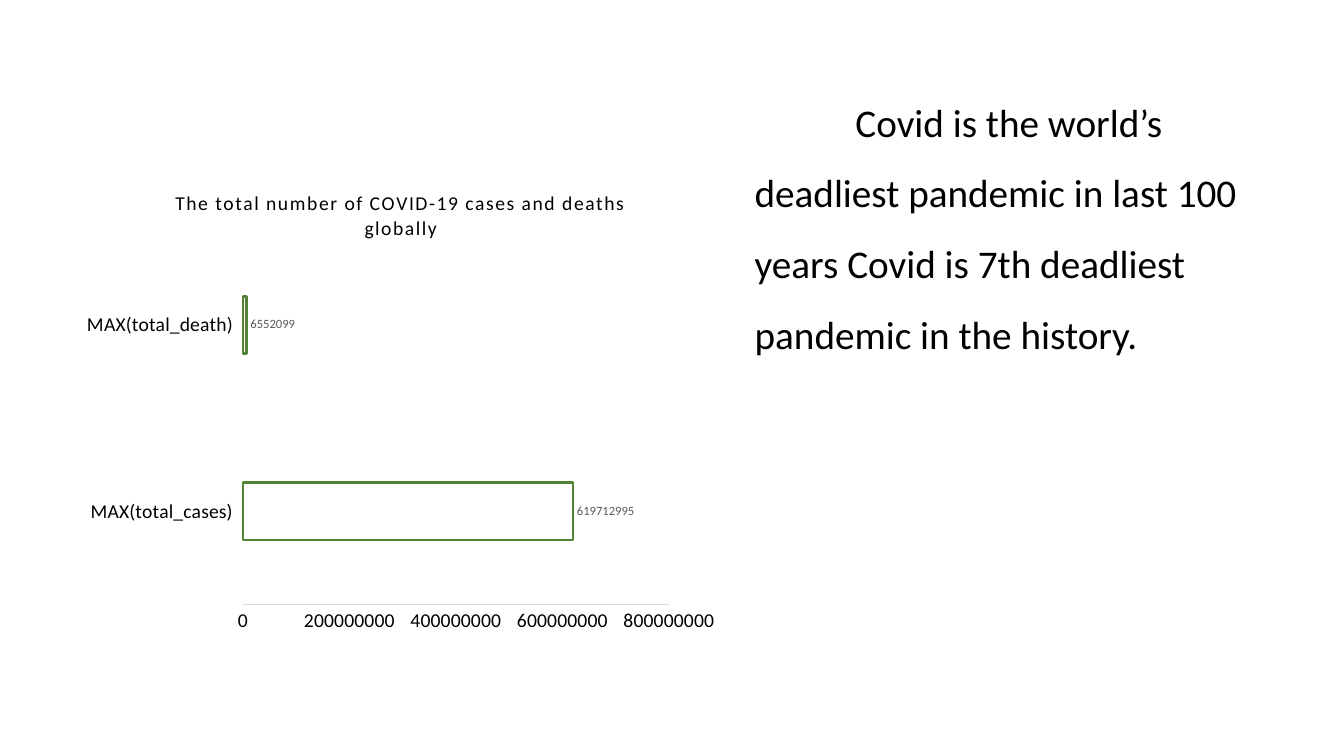
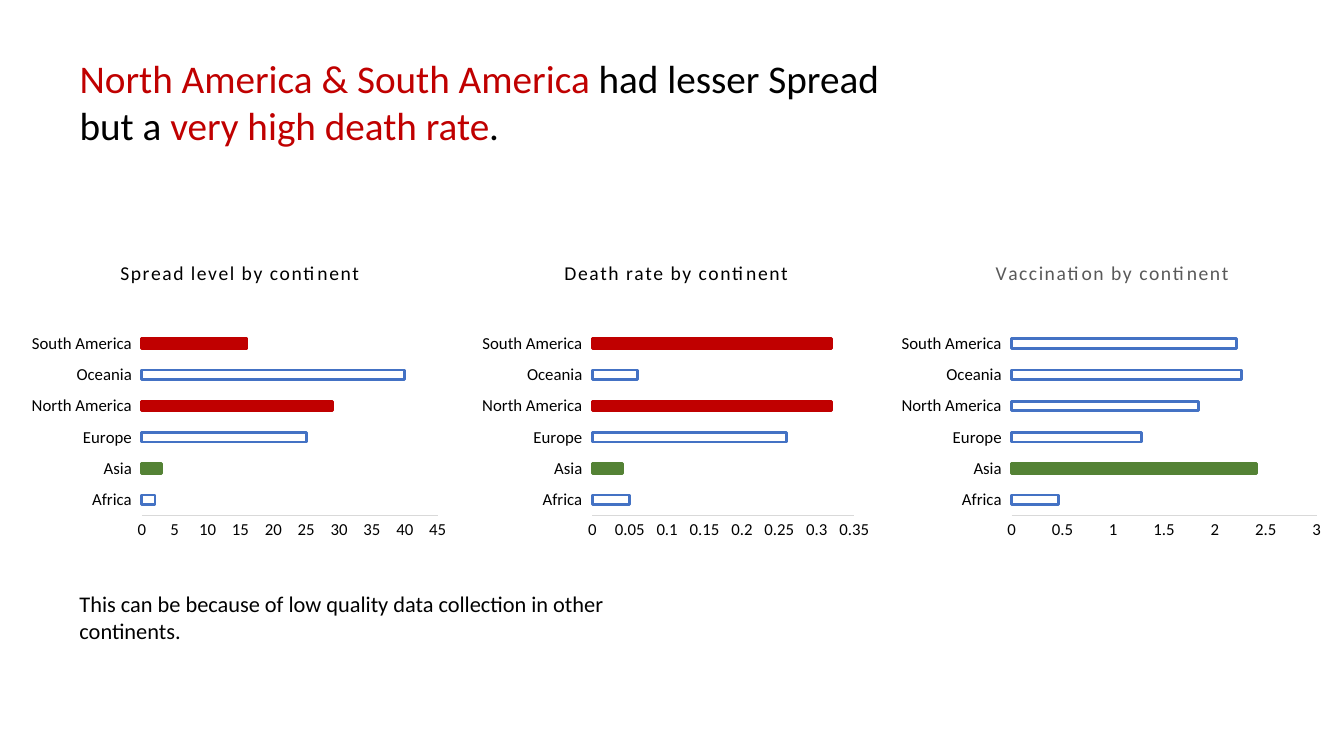
"""Build two slides on global COVID-19 cases, deaths and vaccination."""
import dataclasses

import pptx
import pptx.chart.data
import pptx.dml.color
import pptx.enum.chart
import pptx.enum.text
import pptx.oxml
import pptx.oxml.ns
import pptx.util

Pt = pptx.util.Pt


@dataclasses.dataclass(frozen=True)
class Theme:
    """Hold the colours and type sizes of the deck."""
    font: str = "Calibri"
    ink: str = "000000"
    muted: str = "595959"
    axis: str = "D9D9D9"
    red: str = "C00000"
    green: str = "548235"
    blue: str = "4472C4"
    headline: int = 28
    note: int = 16
    chart_title: int = 14
    data_label: int = 9
    bar_line: int = 2


THEME = Theme()


@dataclasses.dataclass(frozen=True)
class BarPanel:
    """Describe one bar chart; box and plot are left, top, width, height."""
    title: str
    box: tuple
    plot: tuple
    categories: tuple
    values: tuple
    maximum: float
    step: float
    outline: str
    axis_size: int
    highlights: dict = dataclasses.field(default_factory=dict)
    title_color: str = THEME.ink
    labelled: bool = False


def rgb(color):
    """Turn a hex string into a colour."""
    return pptx.dml.color.RGBColor.from_string(color)


def style_font(font, size, color):
    """Apply the deck typeface with a size and colour."""
    font.name = THEME.font
    font.size = Pt(size)
    font.bold = False
    font.color.rgb = rgb(color)


def place(shape, box):
    """Move and size a shape."""
    shape.left, shape.top, shape.width, shape.height = map(Pt, box)


def fill_text(frame, runs, size):
    """Write coloured runs into a wrapped, top-left text frame."""
    frame.word_wrap = True
    frame.auto_size = pptx.enum.text.MSO_AUTO_SIZE.NONE
    frame.vertical_anchor = pptx.enum.text.MSO_ANCHOR.TOP
    paragraph = frame.paragraphs[0]
    paragraph.alignment = pptx.enum.text.PP_ALIGN.LEFT
    for text, color in runs:
        for index, line in enumerate(text.split("\n")):
            if index:
                paragraph.add_line_break()
            run = paragraph.add_run()
            run.text = line
            style_font(run.font, size, color)
    return paragraph


def add_text(slide, box, text, size):
    """Add a text box and return its paragraph."""
    frame = slide.shapes.add_textbox(*map(Pt, box)).text_frame
    return fill_text(frame, [(text, THEME.ink)], size)


def set_plot_area(chart, panel):
    """Fix the inner plot area as fractions of the chart."""
    left, top, width, height = panel.plot
    chart_width, chart_height = panel.box[2:]
    fractions = {"x": left / chart_width, "y": top / chart_height,
                 "w": width / chart_width, "h": height / chart_height}
    modes = '<c:layoutTarget val="inner"/><c:xMode val="edge"/><c:yMode val="edge"/>'
    sizes = "".join(f'<c:{key} val="{value:.4f}"/>' for key, value in fractions.items())
    layout = pptx.oxml.parse_xml(
        f'<c:layout {pptx.oxml.ns.nsdecls("c")}>'
        f"<c:manualLayout>{modes}{sizes}</c:manualLayout></c:layout>")
    plot_area = chart.element.chart.plotArea
    for old in plot_area.findall(pptx.oxml.ns.qn("c:layout")):
        plot_area.remove(old)
    plot_area.insert(0, layout)


def style_title(chart, panel):
    """Write the chart title with slightly spaced letters."""
    chart.has_title = True
    run = chart.chart_title.text_frame.paragraphs[0].add_run()
    run.text = panel.title
    style_font(run.font, THEME.chart_title, panel.title_color)
    run.font._element.set("spc", "100")
    chart.chart_title.include_in_layout = False


def style_axes(chart, panel):
    """Format both axes and set the value scale."""
    ticks = pptx.enum.chart.XL_TICK_MARK
    for axis in (chart.category_axis, chart.value_axis):
        style_font(axis.tick_labels.font, panel.axis_size, THEME.ink)
        axis.has_major_gridlines = False
        axis.minor_tick_mark = ticks.NONE
    chart.category_axis.major_tick_mark = ticks.OUTSIDE
    chart.category_axis.format.line.fill.background()
    scale = chart.value_axis
    scale.major_tick_mark = ticks.NONE
    scale.minimum_scale = 0
    scale.maximum_scale = panel.maximum
    scale.major_unit = panel.step
    scale.format.line.color.rgb = rgb(THEME.axis)
    scale.format.line.width = Pt(0.75)


def outline_bar(bar, color):
    """Draw the outline of a series or single bar."""
    bar.format.line.color.rgb = rgb(color)
    bar.format.line.width = Pt(THEME.bar_line)


def style_bars(chart, panel):
    """Outline the bars, fill the highlighted ones and label them if asked."""
    bars = chart.plots[0]
    bars.gap_width = 227
    bars.overlap = -48
    bars.vary_by_categories = False
    series = bars.series[0]
    series.invert_if_negative = False
    series.format.fill.background()
    outline_bar(series, panel.outline)
    for category, color in panel.highlights.items():
        point = series.points[panel.categories.index(category)]
        point.format.fill.solid()
        point.format.fill.fore_color.rgb = rgb(color)
        outline_bar(point, color)
    if panel.labelled:
        labels = series.data_labels
        labels.show_value = True
        labels.position = pptx.enum.chart.XL_LABEL_POSITION.OUTSIDE_END
        style_font(labels.font, THEME.data_label, THEME.muted)


def add_bar_panel(slide, panel):
    """Add one horizontal bar chart."""
    data = pptx.chart.data.CategoryChartData()
    data.categories = panel.categories
    data.add_series("Series 1", panel.values)
    chart = slide.shapes.add_chart(
        pptx.enum.chart.XL_CHART_TYPE.BAR_CLUSTERED,
        *map(Pt, panel.box), data).chart
    chart.has_legend = False
    style_font(chart.font, 10, THEME.ink)
    style_title(chart, panel)
    style_axes(chart, panel)
    style_bars(chart, panel)
    set_plot_area(chart, panel)


def build_totals(deck):
    """Build the slide of global totals."""
    slide = deck.slides.add_slide(deck.slide_layouts[6])
    statement = add_text(
        slide, (532, 49.7, 376, 206),
        "Covid is the world’s deadliest pandemic in last 100 years "
        "Covid is 7th deadliest pandemic in the history.", THEME.headline)
    statement.line_spacing = 1.5
    statement._p.get_or_add_pPr().set("indent", str(Pt(72)))
    add_bar_panel(slide, BarPanel(
        title="The total number of COVID-19 cases and deaths globally",
        box=(52.6, 122.4, 467.3, 337), plot=(121, 42.9, 304.3, 266.8),
        categories=("MAX(total_cases)", "MAX(total_death)"),
        values=(619712995, 6552099), maximum=800000000, step=200000000,
        outline=THEME.green, axis_size=14, labelled=True))


def build_continents(deck):
    """Build the slide that compares continents."""
    slide = deck.slides.add_slide(deck.slide_layouts[5])
    headline = slide.shapes.title
    place(headline, (49.7, 35.3, 620.6, 75))
    fill_text(headline.text_frame, [
        ("North America & South America ", THEME.red),
        ("had lesser Spread but a ", THEME.ink),
        ("very high death rate", THEME.red),
        (".", THEME.ink)], THEME.headline)
    continents = ("Africa", "Asia", "Europe", "North America", "Oceania",
                  "South America")
    asia = {"Asia": THEME.green}
    americas = {"North America": THEME.red, "South America": THEME.red}
    panels = (
        ("Spread level by continent", 17.3, 308.2, 211.4,
         (2, 3, 25, 29, 40, 16), 45, 5, asia | americas, THEME.ink),
        ("Death rate by continent", 339.1, 288, 187.1,
         (0.05, 0.04, 0.26, 0.32, 0.06, 0.32), 0.35, 0.05, asia | americas,
         THEME.ink),
        ("Vaccination by continent", 638.6, 311.8, 217.9,
         (0.46, 2.41, 1.28, 1.84, 2.26, 2.21), 3, 0.5, asia, THEME.muted),
    )
    for title, left, width, plot_width, values, top, step, marks, color in panels:
        add_bar_panel(slide, BarPanel(
            title=title, box=(left, 174.2, width, 216),
            plot=(84, 60, plot_width, 134), categories=continents,
            values=values, maximum=top, step=step, outline=THEME.blue,
            axis_size=12, highlights=marks, title_color=color))
    add_text(slide, (49.7, 418.3, 707, 46),
             "This can be because of low quality data collection in other \n"
             "continents.", THEME.note)


def main():
    """Build and save the deck."""
    deck = pptx.Presentation()
    deck.slide_width, deck.slide_height = Pt(960), Pt(540)
    build_totals(deck)
    build_continents(deck)
    deck.save("out.pptx")


if __name__ == "__main__":
    main()
